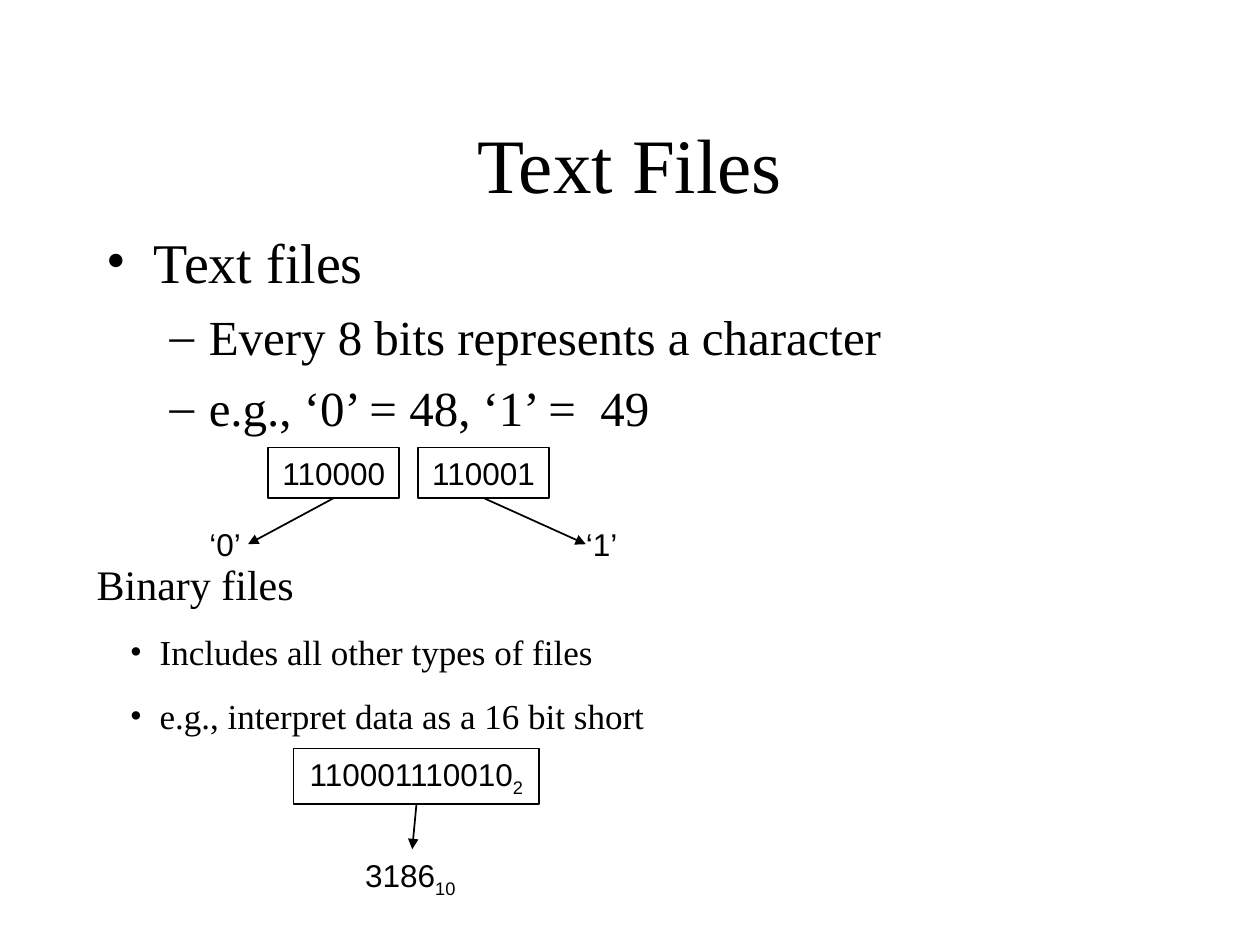
from lxml import etree
from pptx import Presentation
from pptx import util as u
from pptx.dml.color import RGBColor
from pptx.enum import shapes, text
from pptx.oxml import ns

BLACK = "000000"
SERIF = "Times New Roman"
SANS = "Arial"


def colour(value):
    return RGBColor.from_string(value)


class SlideBuilder:
    ink = BLACK
    line_width = u.Pt(1)
    label_size = 18

    def __init__(self, slide):
        self.slide = slide

    def add_run(self, paragraph, wording, size, font, subscript=False):
        run = paragraph.add_run()
        run.text = wording
        run.font.size = u.Pt(size)
        run.font.name = font
        run.font.color.rgb = colour(self.ink)
        if subscript:
            run.font._element.set("baseline", "-25000")

    def add_bullet(self, paragraph, character, margin, hanging):
        properties = paragraph._p.get_or_add_pPr()
        properties.set("marL", str(u.Cm(margin)))
        properties.set("indent", str(-u.Cm(hanging)))
        bullet_colour = etree.SubElement(properties, ns.qn("a:buClr"))
        etree.SubElement(bullet_colour, ns.qn("a:srgbClr"), val=self.ink)
        etree.SubElement(properties, ns.qn("a:buFont"), typeface=SERIF)
        etree.SubElement(properties, ns.qn("a:buChar"), char=character)

    def set_frame(self, shape, inset=(0.25, 0.13), wrap=True):
        frame = shape.text_frame
        frame.word_wrap = wrap
        frame.margin_left = frame.margin_right = u.Cm(inset[0])
        frame.margin_top = frame.margin_bottom = u.Cm(inset[1])
        return frame

    def text_box(self, left, top, width, height, **options):
        shape = self.slide.shapes.add_textbox(
            u.Cm(left), u.Cm(top), u.Cm(width), u.Cm(height))
        return self.set_frame(shape, **options)

    def title(self, wording, *place):
        frame = self.text_box(*place)
        frame.vertical_anchor = text.MSO_ANCHOR.MIDDLE
        paragraph = frame.paragraphs[0]
        paragraph.alignment = text.PP_ALIGN.CENTER
        self.add_run(paragraph, wording, 44, SERIF)

    def outline(self, place, heading, items, sizes, gap, item_bullet, heading_bullet=None):
        frame = self.text_box(*place)
        paragraph = frame.paragraphs[0]
        if heading_bullet:
            self.add_bullet(paragraph, *heading_bullet)
        self.add_run(paragraph, heading, sizes[0], SERIF)
        for item in items:
            paragraph = frame.add_paragraph()
            paragraph.level = 1
            paragraph.space_before = u.Pt(gap)
            self.add_bullet(paragraph, *item_bullet)
            self.add_run(paragraph, item, sizes[1], SERIF)

    def label_runs(self, paragraph, wording, base):
        self.add_run(paragraph, wording, self.label_size, SANS)
        if base:
            self.add_run(paragraph, base, self.label_size, SANS, subscript=True)

    def bit_box(self, wording, left, top, width, height, base=None):
        shape = self.slide.shapes.add_shape(
            shapes.MSO_SHAPE.RECTANGLE, u.Cm(left), u.Cm(top), u.Cm(width), u.Cm(height))
        shape.shadow.inherit = False
        shape.fill.background()
        shape.line.color.rgb = colour(self.ink)
        shape.line.width = self.line_width
        frame = self.set_frame(shape, wrap=False)
        frame.vertical_anchor = text.MSO_ANCHOR.MIDDLE
        paragraph = frame.paragraphs[0]
        paragraph.alignment = text.PP_ALIGN.CENTER
        self.label_runs(paragraph, wording, base)
        return shape

    def label(self, wording, *place, base=None, inset=(0, 0)):
        frame = self.text_box(*place, inset=inset)
        self.label_runs(frame.paragraphs[0], wording, base)

    def arrow_from(self, box, left, top):
        connector = self.slide.shapes.add_connector(
            shapes.MSO_CONNECTOR.STRAIGHT, box.left + box.width // 2,
            box.top + box.height, u.Cm(left), u.Cm(top))
        connector.begin_connect(box, 2)
        connector.line.color.rgb = colour(self.ink)
        connector.line.width = self.line_width
        etree.SubElement(connector.line._get_or_add_ln(), ns.qn("a:tailEnd"), type="triangle")
        etree.SubElement(connector._element.spPr, ns.qn("a:effectLst"))


def main():
    presentation = Presentation()
    presentation.slide_width = u.Cm(25.4)
    presentation.slide_height = u.Cm(19.05)
    builder = SlideBuilder(presentation.slides.add_slide(presentation.slide_layouts[6]))

    builder.title("Text Files", 1.9, 1.7, 21.59, 3.18)
    builder.outline(
        (1.9, 4.45, 21.59, 6.27), "Text files",
        ["Every 8 bits represents a character", "e.g., ‘0’ = 48, ‘1’ =  49"],
        (32, 28), 7, ("–", 2.06, 0.79), ("•", 0.95, 0.95))
    builder.outline(
        (1.7, 11.13, 22.81, 3.86), "Binary files",
        ["Includes all other types of files", "e.g., interpret data as a 16 bit short"],
        (24, 20), 12.5, ("•", 1.27, 0.6))

    characters = [
        ("110000", 5.41, "‘0’", 4.22, 5.0),
        ("110001", 8.43, "‘1’", 11.81, 11.81),
    ]
    for bits, box_left, character, label_left, arrow_left in characters:
        box = builder.bit_box(bits, box_left, 9.02, 2.64, 1.02)
        builder.label(character, label_left, 10.59, 0.81, 0.76)
        builder.arrow_from(box, arrow_left, 10.97)

    box = builder.bit_box("110001110010", 5.92, 15.09, 4.95, 1.12, base="2")
    builder.label("3186", 7.11, 17.12, 2.39, 1.12, base="10", inset=(0.25, 0.13))
    builder.arrow_from(box, 8.31, 17.12)

    presentation.save("out.pptx")


if __name__ == "__main__":
    main()
